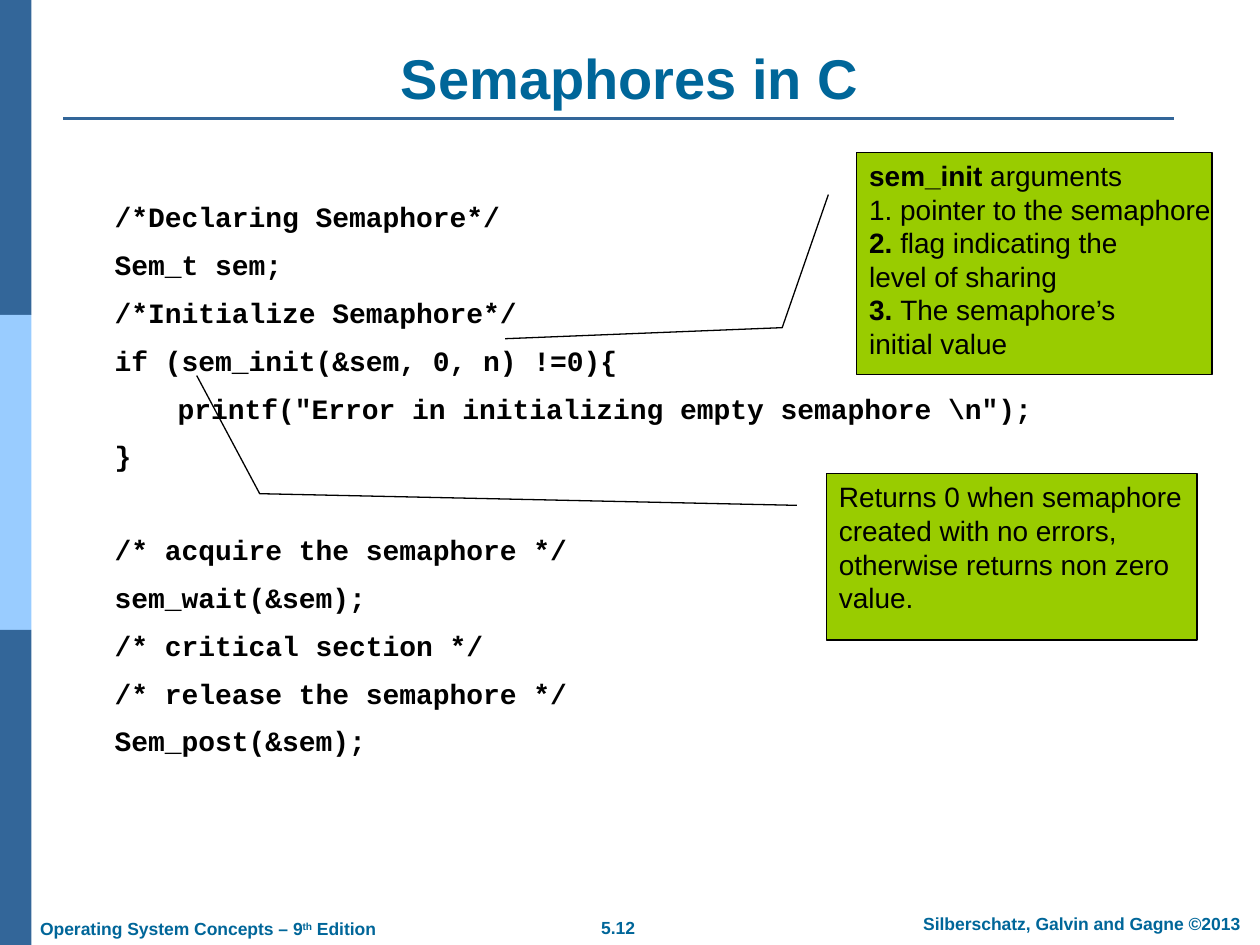
from dataclasses import dataclass

from lxml import etree
from pptx import Presentation
from pptx.dml.color import RGBColor
from pptx.enum.shapes import MSO_CONNECTOR, MSO_SHAPE
from pptx.enum.text import MSO_ANCHOR, MSO_AUTO_SIZE, PP_ALIGN
from pptx.oxml.ns import qn
from pptx.util import Inches, Pt

RECTANGLE, CALLOUT = MSO_SHAPE.RECTANGLE, MSO_SHAPE.LINE_CALLOUT_2
STRAIGHT = MSO_CONNECTOR.STRAIGHT
LEFT, CENTER = PP_ALIGN.LEFT, PP_ALIGN.CENTER
TOP, BOTTOM = MSO_ANCHOR.TOP, MSO_ANCHOR.BOTTOM
NO_AUTOFIT = MSO_AUTO_SIZE.NONE


@dataclass(frozen=True)
class Theme:
    dark_blue = RGBColor(0x33, 0x66, 0x99)
    light_blue = RGBColor(0x99, 0xCC, 0xFF)
    heading = RGBColor(0x00, 0x66, 0x99)
    green = RGBColor(0x99, 0xCC, 0x00)
    black = RGBColor(0, 0, 0)
    title = {"name": "Arial", "size": Pt(32), "bold": True}
    code = {"name": "Courier New", "size": Pt(16), "bold": True}
    note = {"name": "Arial", "size": Pt(16), "bold": False}
    footer = {"name": "Arial", "size": Pt(10), "bold": True}


THEME = Theme()
WIDTH, HEIGHT = Inches(10), Inches(7.5)

CODE_GROUPS = [
    [
        "/*Declaring Semaphore*/",
        "Sem_t sem;",
        "/*Initialize Semaphore*/",
        "if (sem_init(&sem, 0, n) !=0){",
        '\tprintf("Error in initializing empty semaphore \\n");',
        "}",
    ],
    [
        "/* acquire the semaphore */",
        "sem_wait(&sem);",
        "/* critical section */",
        "/* release the semaphore */",
        "Sem_post(&sem);",
    ],
]
# Each line of a note is a bold lead and a plain rest
ARGUMENT_LINES = [
    ("sem_init", " arguments"),
    ("", "1. pointer to the semaphore"),
    ("2. ", "flag indicating the"),
    ("", "level of sharing"),
    ("3. ", "The semaphore’s"),
    ("", "initial value"),
]
RETURN_LINES = [
    ("", "Returns 0 when semaphore"),
    ("", "created with no errors,"),
    ("", "otherwise returns non zero"),
    ("", "value."),
]


def place(left, top, width, height):
    """Turn percentages of the slide into lengths."""
    return (int(WIDTH * left / 100), int(HEIGHT * top / 100),
            int(WIDTH * width / 100), int(HEIGHT * height / 100))


def set_values(target, values):
    for name, value in values.items():
        setattr(target, name, value)


def add_run(paragraph, text, style, color, **changes):
    run = paragraph.add_run()
    run.text = text
    set_values(run.font, {**style, **changes})
    run.font.color.rgb = color
    return run


def move(shape, box):
    set_values(shape, dict(zip(("left", "top", "width", "height"), box)))


def add_side_bar(slide, box):
    left, top, width, height = box
    band_height = height // 3
    for row, color in enumerate((THEME.dark_blue, THEME.light_blue, THEME.dark_blue)):
        band = slide.shapes.add_shape(
            RECTANGLE, left, top + row * band_height, width, band_height)
        band.shadow.inherit = False
        band.fill.solid()
        band.fill.fore_color.rgb = color
        band.line.fill.background()


def add_title(slide, box):
    title = slide.shapes.title
    move(title, box)
    set_values(title.text_frame, {"vertical_anchor": BOTTOM, "auto_size": NO_AUTOFIT})
    paragraph = title.text_frame.paragraphs[0]
    paragraph.alignment = CENTER
    add_run(paragraph, "Semaphores in C", THEME.title, THEME.heading)

    # Rule under the title
    left, top, width, height = box
    rule_top = top + height + Inches(0.01)
    rule = slide.shapes.add_connector(
        STRAIGHT, left, rule_top, left + int(width * 0.98), rule_top)
    rule.line.color.rgb = THEME.dark_blue
    rule.line.width = Pt(1.5)
    etree.SubElement(rule.element.spPr, qn("a:effectLst"))


def add_code(slide, box):
    body = slide.placeholders[1]
    move(body, box)
    frame = body.text_frame
    set_values(frame, {"vertical_anchor": TOP, "auto_size": NO_AUTOFIT, "word_wrap": True})
    for group_index, group in enumerate(CODE_GROUPS):
        for line_index, line in enumerate(group):
            first = group_index == line_index == 0
            paragraph = frame.paragraphs[0] if first else frame.add_paragraph()
            properties = paragraph._p.get_or_add_pPr()
            properties.set("marL", "0")
            properties.set("indent", "0")
            etree.SubElement(properties, qn("a:buNone"))
            gap = 0 if first else 7 if line_index else 33.3
            set_values(paragraph, {
                "alignment": LEFT, "line_spacing": 1.06, "space_before": Pt(gap)})
            add_run(paragraph, line, THEME.code, THEME.black)


def add_callout(slide, box, leader, lines):
    """Leader holds three points as (y, x) shares of the box."""
    callout = slide.shapes.add_shape(CALLOUT, *box)
    callout.shadow.inherit = False
    for index, share in enumerate(leader):
        callout.adjustments[index] = share
    callout.fill.solid()
    callout.fill.fore_color.rgb = THEME.green
    callout.line.color.rgb = THEME.black
    callout.line.width = Pt(0.75)
    frame = callout.text_frame
    set_values(frame, {"vertical_anchor": TOP, "word_wrap": False})
    for index, (lead, rest) in enumerate(lines):
        paragraph = frame.add_paragraph() if index else frame.paragraphs[0]
        paragraph.alignment = LEFT
        if lead:
            add_run(paragraph, lead, THEME.note, THEME.black, bold=True)
        add_run(paragraph, rest, THEME.note, THEME.black)


def add_footer(slide, box, alignment, text, superscript="", ending=""):
    frame = slide.shapes.add_textbox(*box).text_frame
    frame.word_wrap = False
    paragraph = frame.paragraphs[0]
    paragraph.alignment = alignment
    add_run(paragraph, text, THEME.footer, THEME.heading)
    if superscript:
        raised = add_run(paragraph, superscript, THEME.footer, THEME.heading)
        raised._r.get_or_add_rPr().set("baseline", "30000")
        add_run(paragraph, ending, THEME.footer, THEME.heading)


def main():
    presentation = Presentation()
    set_values(presentation, {"slide_width": WIDTH, "slide_height": HEIGHT})
    slide = presentation.slides.add_slide(presentation.slide_layouts[1])

    add_side_bar(slide, place(0, 0, 2.5, 100))
    add_title(slide, place(5, 4, 90, 8.4))
    add_code(slide, place(8.1, 20.27, 90, 71.47))

    # Notes pointing at the sem_init call
    add_callout(slide, place(68, 16.13, 28.2, 23.47),
                (0.19, -0.08, 0.79, -0.21, 0.84, -0.99), ARGUMENT_LINES)
    add_callout(slide, place(65.6, 50.13, 29.4, 17.6),
                (0.19, -0.08, 0.12, -1.53, -0.59, -1.7), RETURN_LINES)

    # Footer
    add_footer(slide, place(44.1, 96.4, 9.9, 3.6), CENTER, "5.12")
    add_footer(slide, place(71, 96, 29.7, 3.6), CENTER,
               "Silberschatz, Galvin and Gagne ©2013")
    add_footer(slide, place(2.2, 96.53, 28.7, 3.6), LEFT,
               "Operating System Concepts – 9", "th", " Edition")

    presentation.save("out.pptx")


if __name__ == "__main__":
    main()
